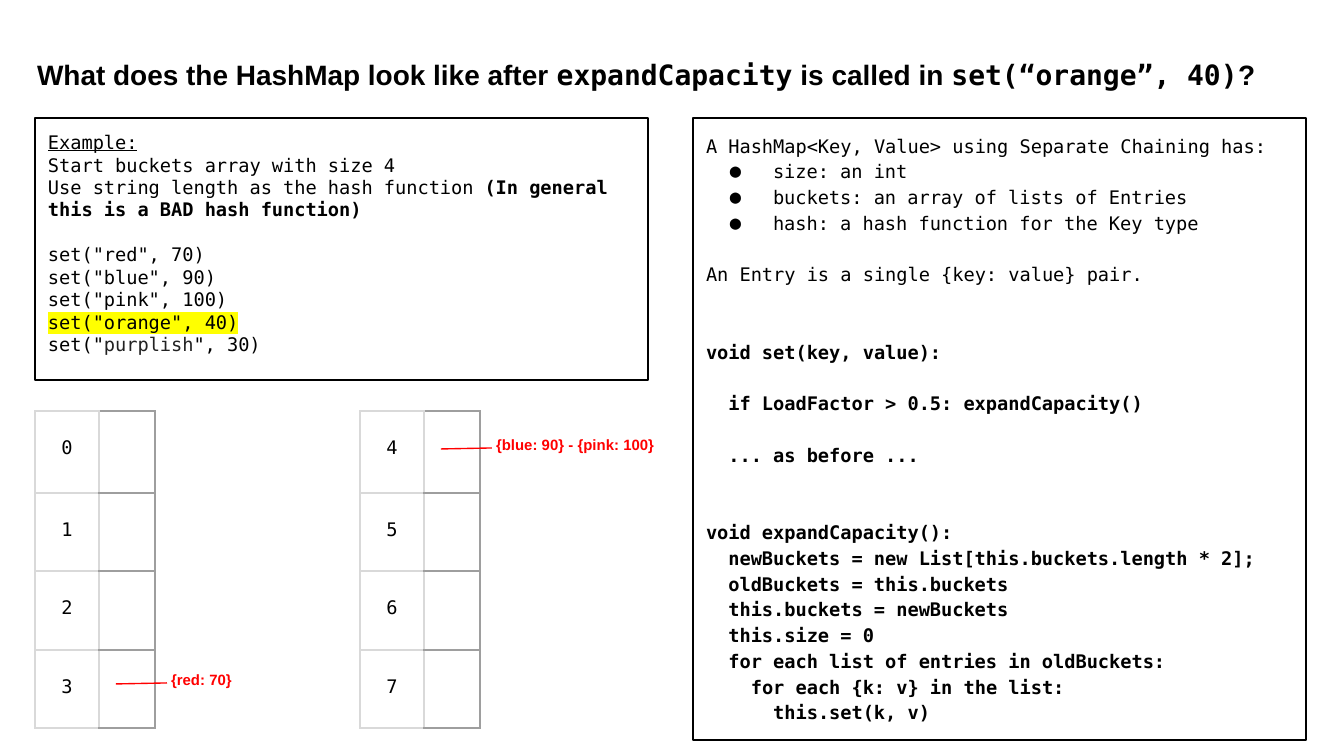
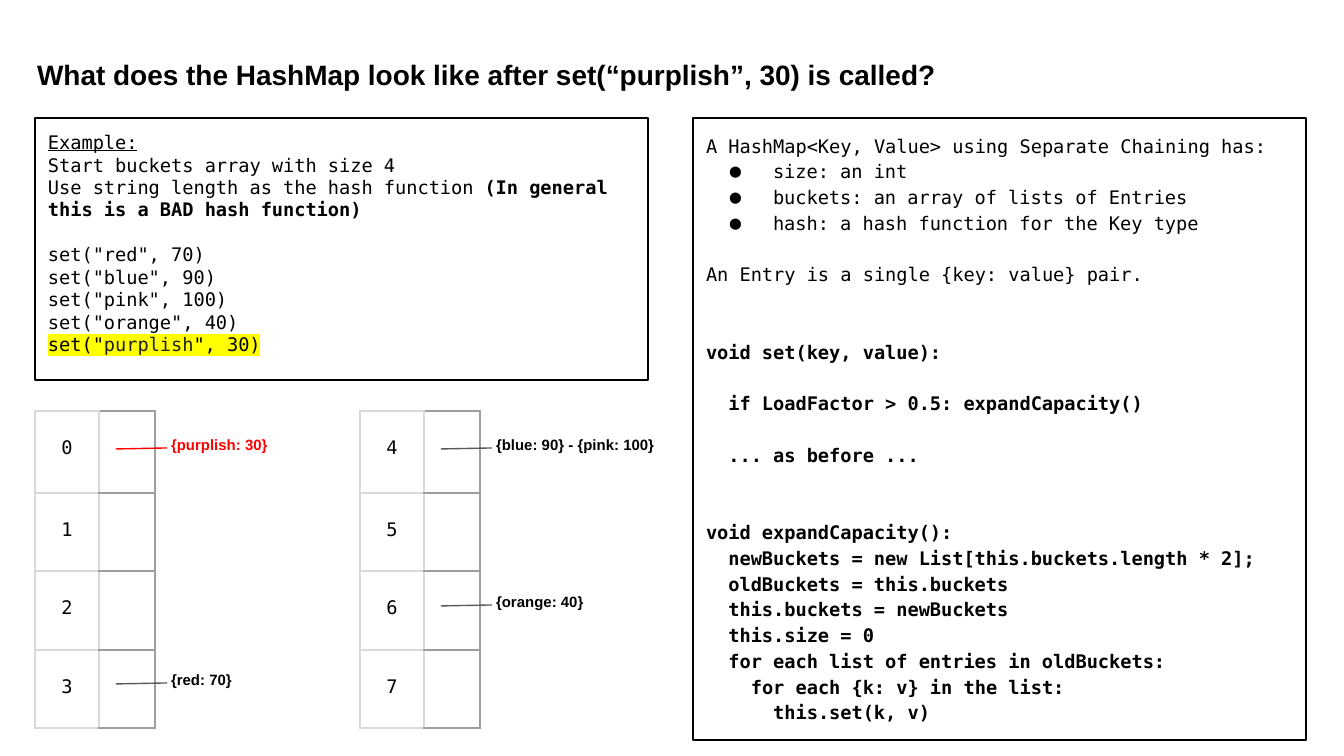
from dataclasses import dataclass, replace
from typing import Optional, Sequence

from lxml.etree import SubElement
from pptx import Presentation
from pptx.dml.color import RGBColor as Rgb
from pptx.enum.shapes import MSO_CONNECTOR as Connector
from pptx.enum.text import MSO_ANCHOR as Anchor, MSO_AUTO_SIZE as AutoSize, PP_ALIGN as Align
from pptx.oxml import parse_xml
from pptx.oxml.ns import nsdecls, qn
from pptx.slide import Slide
from pptx.text.text import TextFrame
from pptx.util import Emu, Pt

SCALE = 914400 / 134.4
COLORS = {
    "text": "000000",
    "soft": "222222",
    "new": "FF0000",
    "link": "595959",
    "mark": "FFFF00",
    "light": "D9D9D9",
    "dark": "9E9E9E",
}
SANS, MONO = "Arial", "DejaVu Sans Mono"
INSET = 13
CHARACTER = 11.2
LOOSE = 1.15
BLANK_TIGHT, BLANK_LOOSE = 12, 13.8
PANEL_TOP, PANEL_WIDTH = 118, 613
TABLE_TOP, TABLE_LEFTS = 411, (35, 360)
COLUMNS, ROWS = (64, 56), (82, 78, 79, 78)
HAIRLINE = Pt(0.75)


def px(value: float) -> Emu:
    return Emu(round(value * SCALE))


def rgb(name: str) -> Rgb:
    return Rgb.from_string(COLORS[name])


@dataclass(frozen=True)
class Span:
    text: str
    font: str = MONO
    size: float = 10
    bold: bool = False
    underline: bool = False
    color: str = "text"
    marked: bool = False


@dataclass(frozen=True)
class Line:
    spans: Sequence[Span]
    blanks: int = 0
    indent: int = 0
    bullet: bool = False
    align: Align = Align.LEFT


@dataclass(frozen=True)
class Entry:
    bucket: int
    text: str
    new: bool = False


@dataclass(frozen=True)
class Step:
    title: Sequence[Span]
    marked: str
    entries: Sequence[Entry]


def plain(text: str, blanks: int = 0, **options) -> Line:
    return Line((Span(text),), blanks, **options)


def code(text: str, blanks: int = 0, indent: int = 0) -> Line:
    return Line((Span(text, bold=True),), blanks, indent)


def heading(text: str, font: str = SANS) -> Span:
    return Span(text, font, 15, True)


CALLS = {
    "red": (Span('set("red", 70)'),),
    "blue": (Span('set("blue", 90)'),),
    "pink": (Span('set("pink", 100)'),),
    "orange": (Span('set("orange", 40)'),),
    "purplish": (Span('set("'), Span("purplish", color="soft"), Span('", 30)')),
}
INTRO = (
    Line((Span("Example:", underline=True),)),
    plain("Start buckets array with size 4"),
    Line((
        Span("Use string length as the hash function "),
        Span("(In general this is a BAD hash function)", bold=True),
    )),
)
REFERENCE = (
    plain("A HashMap<Key, Value> using Separate Chaining has:"),
    plain("size: an int", bullet=True),
    plain("buckets: an array of lists of Entries", bullet=True),
    plain("hash: a hash function for the Key type", bullet=True),
    plain("An Entry is a single {key: value} pair.", 1),
    code("void set(key, value):", 2),
    code("if LoadFactor > 0.5: expandCapacity()", 1, 2),
    code("... as before ...", 1, 2),
    code("void expandCapacity():", 2),
    code("newBuckets = new List[this.buckets.length * 2];", 0, 2),
    code("oldBuckets = this.buckets", 0, 2),
    code("this.buckets = newBuckets", 0, 2),
    code("this.size = 0", 0, 2),
    code("for each list of entries in oldBuckets:", 0, 2),
    code("for each {k: v} in the list:", 0, 4),
    code("this.set(k, v)", 0, 6),
)
STEPS = (
    Step(
        (
            heading("What does the HashMap look like after "),
            heading("expandCapacity", MONO),
            heading(" is called in "),
            heading("set(“orange”, 40)", MONO),
            heading("?"),
        ),
        "orange",
        (Entry(4, "{blue: 90} - {pink: 100}", True), Entry(3, "{red: 70}", True)),
    ),
    Step(
        (heading("What does the HashMap look like after set(“purplish”, 30) is called?"),),
        "purplish",
        (
            Entry(4, "{blue: 90} - {pink: 100}"),
            Entry(3, "{red: 70}"),
            Entry(6, "{orange: 40}"),
            Entry(0, "{purplish: 30}", True),
        ),
    ),
)


def set_attributes(target: object, values: dict) -> None:
    for name, value in values.items():
        setattr(target, name, value)


def write(frame: TextFrame, lines: Sequence[Line], spacing: float = 1.0,
          blank: float = BLANK_TIGHT, left: int = INSET) -> None:
    set_attributes(frame, {
        "word_wrap": True,
        "auto_size": AutoSize.NONE,
        "vertical_anchor": Anchor.TOP,
        "margin_left": px(left),
        "margin_top": px(INSET),
        "margin_right": px(INSET),
        "margin_bottom": px(INSET),
    })
    for number, line in enumerate(lines):
        para = frame.paragraphs[0] if number == 0 else frame.add_paragraph()
        set_attributes(para, {
            "alignment": line.align,
            "line_spacing": spacing,
            "space_before": Pt(line.blanks * blank),
            "space_after": Pt(0),
        })
        properties = para._p.get_or_add_pPr()
        margin, hanging = (67, -43) if line.bullet else (line.indent * CHARACTER, 0)
        properties.set("marL", str(px(margin)))
        properties.set("indent", str(px(hanging)))
        if line.bullet:
            color = SubElement(properties, qn("a:buClr"))
            SubElement(color, qn("a:srgbClr"), val=COLORS["text"])
            SubElement(properties, qn("a:buFont"), typeface=MONO)
            SubElement(properties, qn("a:buChar"), char="●")
        else:
            SubElement(properties, qn("a:buNone"))
        for span in line.spans:
            add_span(para.add_run(), span)


def add_span(run, span: Span) -> None:
    run.text = span.text
    set_attributes(run.font, {
        "name": span.font,
        "size": Pt(span.size),
        "bold": span.bold,
        "underline": span.underline,
    })
    run.font.color.rgb = rgb(span.color)
    if span.marked:
        fill = run._r.rPr.find(qn("a:solidFill"))
        fill.addnext(parse_xml(
            f'<a:highlight {nsdecls("a")}><a:srgbClr val="{COLORS["mark"]}"/></a:highlight>'
        ))


def place(box, left: int, top: int, width: int, height: int) -> None:
    set_attributes(box, {
        "left": px(left), "top": px(top), "width": px(width), "height": px(height),
    })


def draw_panel(box, left: int, height: int, lines: Sequence[Line],
               spacing: float, blank: float) -> None:
    place(box, left, PANEL_TOP, PANEL_WIDTH, height)
    box.line.color.rgb = rgb("text")
    box.line.width = HAIRLINE
    write(box.text_frame, lines, spacing, blank)


def set_borders(cell, left: str, others: str) -> None:
    properties = cell._tc.get_or_add_tcPr()
    for position, side in enumerate("LRTB"):
        color = COLORS[left if side == "L" else others]
        properties.insert(position, parse_xml(
            f'<a:ln{side} {nsdecls("a")} w="{HAIRLINE}"><a:solidFill>'
            f'<a:srgbClr val="{color}"/></a:solidFill></a:ln{side}>'
        ))


def draw_buckets(page: Slide, left: int, first: int) -> None:
    table = page.shapes.add_table(
        len(ROWS), len(COLUMNS), px(left), px(TABLE_TOP), px(sum(COLUMNS)), px(sum(ROWS))
    ).table
    set_attributes(table, {"first_row": False, "horz_banding": False})
    for column, width in zip(table.columns, COLUMNS):
        column.width = px(width)
    for number, height in enumerate(ROWS):
        table.rows[number].height = px(height)
        index, slot = table.cell(number, 0), table.cell(number, 1)
        write(index.text_frame, (plain(str(first + number), align=Align.CENTER),))
        slot.text_frame.paragraphs[0].font.size = Pt(10)
        for cell, border in ((index, "light"), (slot, "dark")):
            set_attributes(cell, {
                "margin_left": px(INSET),
                "margin_top": px(2 * INSET),
                "margin_right": px(INSET),
                "margin_bottom": px(INSET),
                "vertical_anchor": Anchor.TOP,
            })
            cell.fill.background()
            set_borders(cell, "light", border)


def draw_entry(page: Slide, entry: Entry) -> None:
    half, row = divmod(entry.bucket, len(ROWS))
    left, drop = TABLE_LEFTS[half], row * 157 // 2
    link = page.shapes.add_connector(
        Connector.STRAIGHT,
        px(left + 81), px(449 + drop), px(left + 132), px(448 + drop),
    )
    link.line.color.rgb = rgb("new" if entry.new else "link")
    link.line.width = HAIRLINE
    SubElement(link._element.spPr, qn("a:effectLst"))
    label = page.shapes.add_textbox(px(left + 115), px(423 + drop), px(215), px(28))
    span = Span(entry.text, SANS, 8, True, color="new" if entry.new else "text")
    write(label.text_frame, (Line((span,)),), left=21)


def example_lines(marked: Optional[str]) -> list[Line]:
    lines = list(INTRO)
    for number, (key, spans) in enumerate(CALLS.items()):
        lines.append(Line(
            [replace(span, marked=key == marked) for span in spans],
            blanks=1 if number == 0 else 0,
        ))
    return lines


def draw_step(page: Slide, step: Step) -> None:
    title, example, reference = page.placeholders
    place(title, 24, 39, 1305, 74)
    write(title.text_frame, (Line(step.title),), LOOSE)
    draw_panel(example, 35, 262, example_lines(step.marked), 1.0, BLANK_TIGHT)
    draw_panel(reference, 693, 622, REFERENCE, LOOSE, BLANK_LOOSE)
    for half, left in enumerate(TABLE_LEFTS):
        draw_buckets(page, left, half * len(ROWS))
    for entry in step.entries:
        draw_entry(page, entry)


deck = Presentation()
set_attributes(deck, {"slide_width": px(1344), "slide_height": px(756)})
for step in STEPS:
    draw_step(deck.slides.add_slide(deck.slide_layouts[3]), step)
deck.save("out.pptx")
